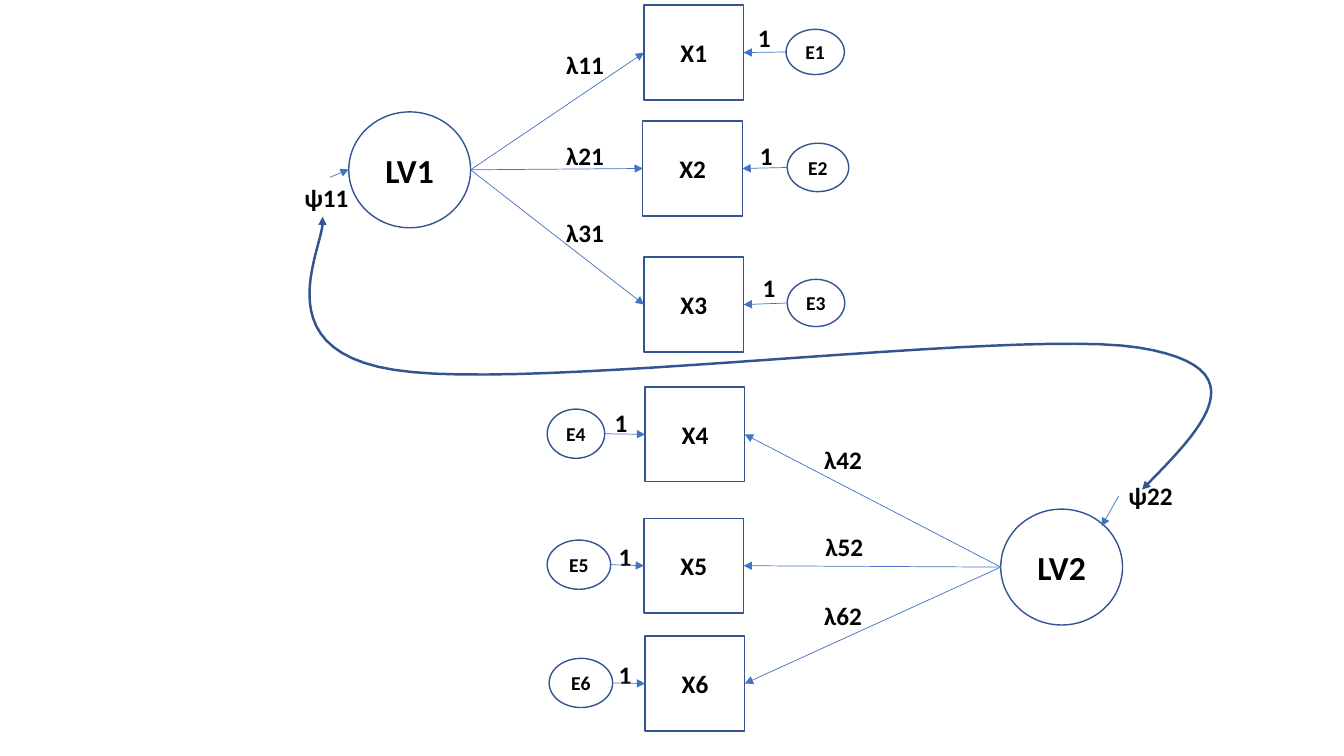
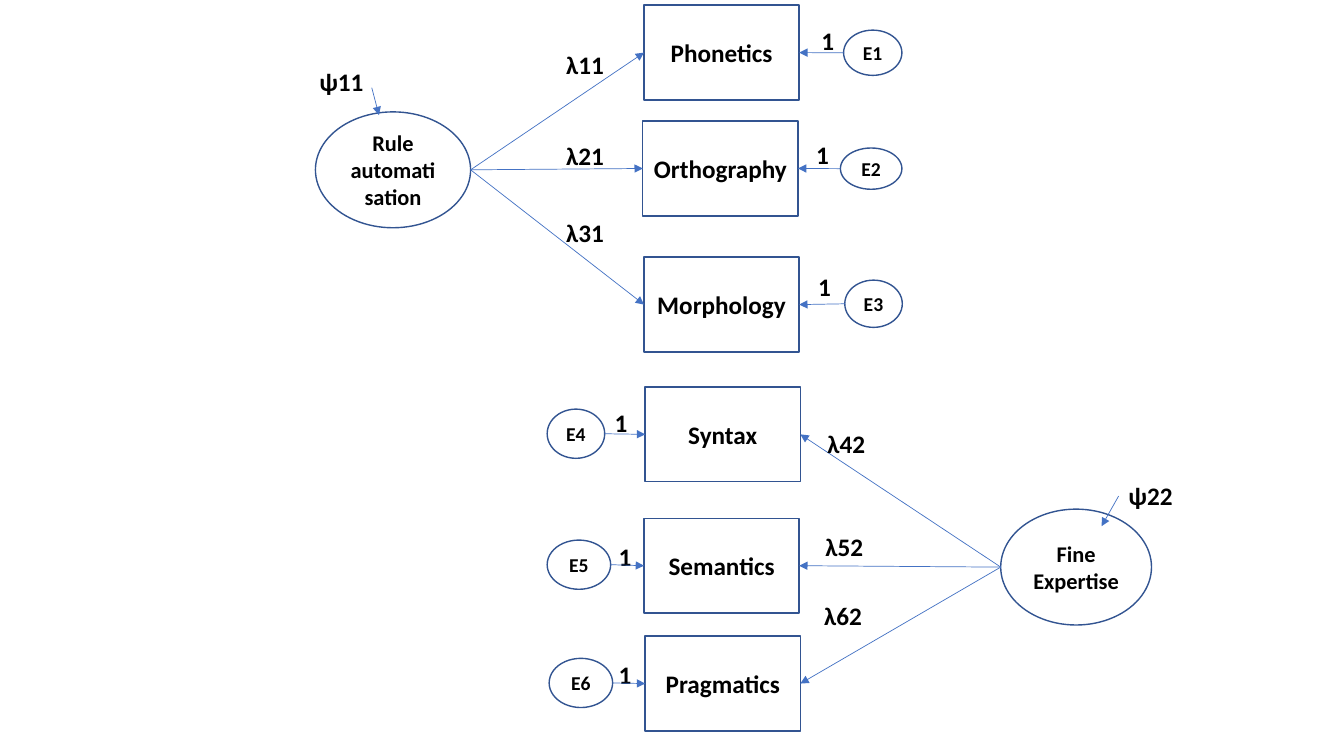
from lxml import etree
from pptx import Presentation
from pptx import util as u
from pptx.dml.color import RGBColor
from pptx.enum import shapes, text
from pptx.oxml.ns import qn

HUES = {"paper": "FFFFFF", "edge": "325491", "arrow": "4472C4", "ink": "000000"}
RECT, OVAL = shapes.MSO_SHAPE.RECTANGLE, shapes.MSO_SHAPE.OVAL
LEFT, RIGHT = 1, 3  # connection sites of a rectangle
BOX_H = 2.39


def hue(name):
    return RGBColor.from_string(HUES[name])


def bezier(a, b, c, d, steps=24):
    """Points along a cubic curve, without its first point."""
    for i in range(1, steps + 1):
        t = i / steps
        s = 1 - t
        yield tuple(s**3 * p + 3 * s * s * t * q + 3 * s * t * t * r + t**3 * e
                    for p, q, r, e in zip(a, b, c, d))


class Board:
    """Style of the diagrams and the slide being drawn."""

    def __init__(self):
        self.deck = Presentation()
        self.deck.slide_width, self.deck.slide_height = u.Cm(33.87), u.Cm(19.05)
        self.slide = None

    def page(self):
        self.slide = self.deck.slides.add_slide(self.deck.slide_layouts[6])

    def fill_text(self, frame, words, size, align):
        frame.text = words
        frame.word_wrap = True
        for para in frame.paragraphs:
            para.alignment = align
            for run in para.runs:
                font = run.font
                font.name, font.size, font.bold = "Calibri", u.Pt(size), True
                font.color.rgb = hue("ink")

    def node(self, kind, words, place, size):
        shape = self.slide.shapes.add_shape(kind, *map(u.Cm, place))
        shape.shadow.inherit = False
        shape.fill.solid()
        shape.fill.fore_color.rgb = hue("paper")
        shape.line.color.rgb = hue("edge")
        shape.line.width = u.Pt(1)
        shape.text_frame.vertical_anchor = text.MSO_ANCHOR.MIDDLE
        self.fill_text(shape.text_frame, words, size, text.PP_ALIGN.CENTER)
        return shape

    def label(self, words, x, y, width=1.83):
        box = self.slide.shapes.add_textbox(*map(u.Cm, (x, y, width, 1.02)))
        self.fill_text(box.text_frame, words, 18, text.PP_ALIGN.LEFT)
        box.text_frame.auto_size = text.MSO_AUTO_SIZE.SHAPE_TO_FIT_TEXT

    def heads(self, shape, *ends):
        outline = shape._element.spPr.find(qn("a:ln"))
        for end in ends:
            etree.SubElement(outline, qn("a:" + end), type="triangle")

    def arrow(self, start, end, box=None, site=None):
        """Arrow to a point or, if a box is given, to the middle of its side."""
        line = self.slide.shapes.add_connector(
            shapes.MSO_CONNECTOR.STRAIGHT, *map(u.Cm, start + end))
        if box is not None:
            line.end_connect(box, site)
        line.line.color.rgb = hue("arrow")
        line.line.width = u.Pt(0.5)
        self.heads(line, "tailEnd")
        etree.SubElement(line._element.spPr, qn("a:effectLst"))

    def curve(self, start, *parts):
        points, last = [], start
        for part in parts:
            points += bezier(last, *part)
            last = part[-1]
        form = self.slide.shapes.build_freeform(*map(u.Cm, start))
        form.add_line_segments([tuple(map(u.Cm, p)) for p in points], close=False)
        shape = form.convert_to_shape()
        shape.shadow.inherit = False
        shape.fill.background()
        shape.line.color.rgb = hue("edge")
        shape.line.width = u.Pt(1.75)
        self.heads(shape, "headEnd", "tailEnd")


# Left and top of the six indicator boxes
BOXES = [(16.23, 0.13), (16.2, 3.05), (16.23, 6.48),
         (16.26, 9.75), (16.23, 13.06), (16.26, 16.03)]

# Error ovals and the places of their weights, for the lower three boxes
LOW_ERRS = [(13.79, 10.31, 1.45, 1.24), (13.79, 13.61, 1.6, 1.24),
            (13.84, 16.59, 1.6, 1.24)]
LOW_ONES = [(15.24, 10.13), (15.34, 13.51), (15.34, 16.48)]

# Loadings that keep their place on both slides
LOADS = {"λ11": (14.02, 1.12), "λ21": (14.02, 3.4), "λ31": (14.02, 5.36),
         "λ52": (20.55, 13.26), "λ62": (20.52, 15.01)}

MODELS = [
    {
        "names": ["X1", "X2", "X3", "X4", "X5", "X6"], "width": 2.51,
        "latent": [("LV1", 8.79, 3.07), ("LV2", 25.22, 3.07)], "size": 24,
        "errs": [(19.81, 0.74, 1.47, 1.14), (19.84, 3.61, 1.55, 1.22),
                 (19.84, 7.04, 1.45, 1.19)],
        "ones": [(18.85, 0.43), (18.9, 3.4), (18.97, 6.73)],
        "λ42": (20.52, 11.07), "ψ11": (7.42, 4.47),
        "var": ((8.31, 4.47), (8.79, 4.27)),
    },
    {
        "names": ["Phonetics", "Orthography", "Morphology",
                  "Syntax", "Semantics", "Pragmatics"], "width": 3.91,
        "latent": [("Rule automatisation", 7.95, 3.91),
                   ("Fine\nExpertise", 25.22, 3.8)], "size": 16,
        "errs": [(21.26, 0.76, 1.47, 1.14), (21.18, 3.73, 1.55, 1.04),
                 (21.29, 7.06, 1.45, 1.19)],
        "ones": [(20.45, 0.51), (20.32, 3.38), (20.37, 6.71)],
        "λ42": (20.6, 10.67), "ψ11": (7.8, 1.55),
        "var": ((9.37, 2.21), (9.55, 2.9)),
    },
]


def draw(board, model):
    board.page()
    width = model["width"]

    # Latent variables, with the point their loadings start from
    roots = []
    for (name, x, w), top in zip(model["latent"], (2.82, 12.83)):
        board.node(OVAL, name, (x, top, w, 2.92), model["size"])
        roots.append((x if roots else x + w, top + 1.46))

    # Indicators with loadings, errors and weights
    errs, ones = model["errs"] + LOW_ERRS, model["ones"] + LOW_ONES
    for i, (name, (x, y)) in enumerate(zip(model["names"], BOXES)):
        upper = i < 3
        box = board.node(RECT, name, (x, y, width, BOX_H), 18)
        ex, ey, ew, eh = errs[i]
        board.node(OVAL, f"E{i + 1}", errs[i], 14)
        board.label("1", *ones[i], width=0.84)
        inner, outer = (LEFT, RIGHT) if upper else (RIGHT, LEFT)
        mid = (x, y + BOX_H / 2)
        board.arrow(roots[0 if upper else 1], mid, box, inner)
        board.arrow((ex if upper else ex + ew, ey + eh / 2), mid, box, outer)

    # Loading and variance labels
    for words, place in LOADS.items():
        board.label(words, *place)
    for words in ("λ42", "ψ11"):
        board.label(words, *model[words])
    board.label("ψ22", 28.19, 11.99)

    # Variance arrows
    board.arrow(*model["var"])
    board.arrow((28.19, 12.5), (27.76, 13.26))


def main():
    board = Board()
    general, applied = MODELS
    draw(board, general)
    # Covariance of the two latent variables
    board.curve((28.78, 12.34),
                ((30.3, 10.8), (31.83, 9.27), (28.7, 8.76)),
                ((25.55, 8.26), (13.36, 9.88), (9.93, 9.32)),
                ((6.5, 8.79), (8.28, 6.07), (8.13, 5.46)))
    draw(board, applied)
    board.deck.save("out.pptx")


if __name__ == "__main__":
    main()
